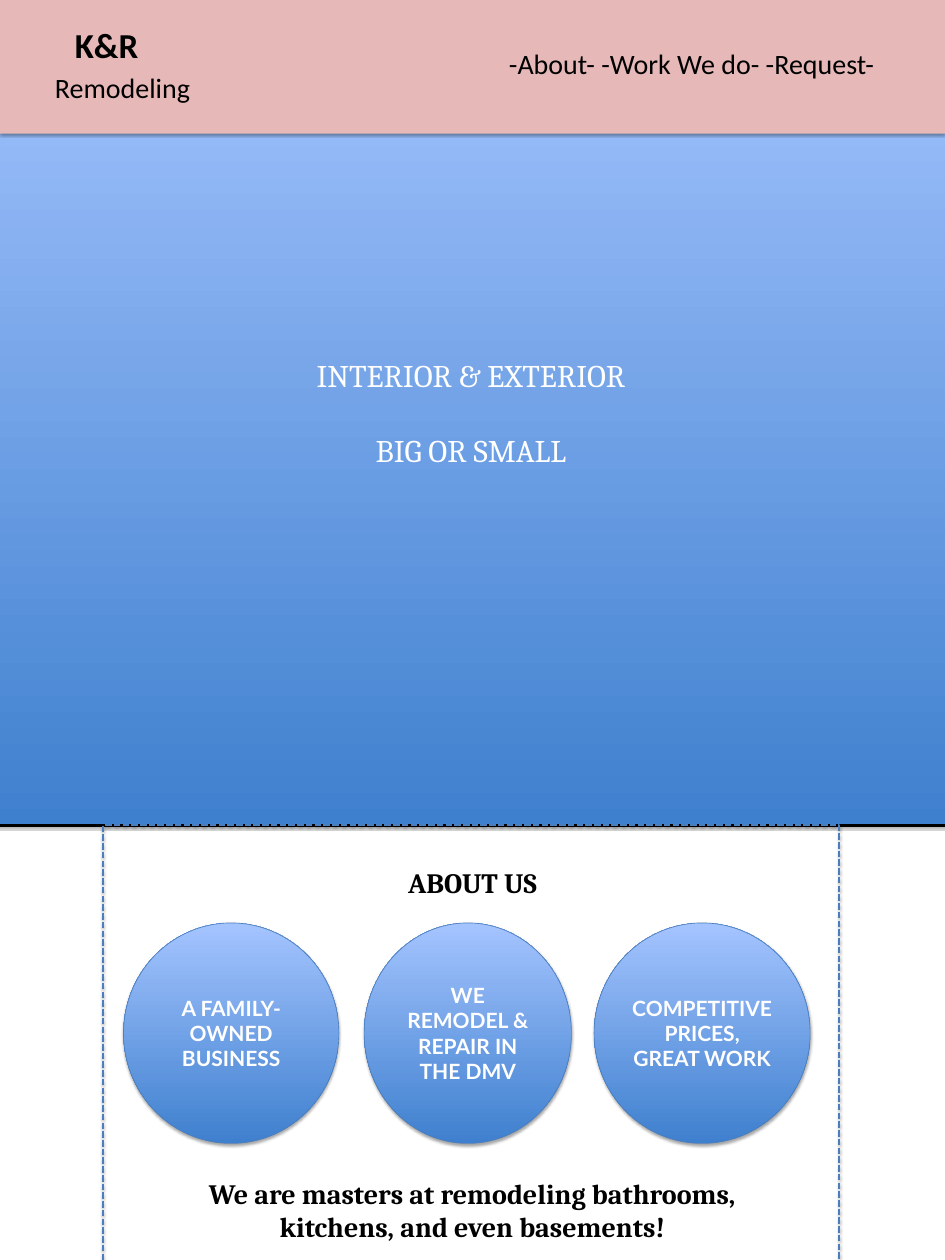
"""Build the home page slide of a remodeling business."""
from lxml.etree import SubElement
from pptx import Presentation
from pptx.dml.color import RGBColor
from pptx.enum.dml import MSO_LINE_DASH_STYLE as Dash
from pptx.enum.shapes import MSO_SHAPE as Preset
from pptx.enum.text import MSO_ANCHOR as Anchor, PP_ALIGN as Align
from pptx.oxml.ns import qn
from pptx.util import Inches, Pt

BLACK = RGBColor(0x00, 0x00, 0x00)
WHITE = RGBColor(0xFF, 0xFF, 0xFF)
PINK = RGBColor(0xE6, 0xB9, 0xB8)
DEEP_BLUE = RGBColor(0x3F, 0x80, 0xCE)
PALE_BLUE = RGBColor(0xA4, 0xC4, 0xFF)
OUTLINE_BLUE = RGBColor(0x4B, 0x7E, 0xBC)

WIDTH, HEIGHT = 15, 20
HERO_BOTTOM = 13.1
HERO_LINES = ["INTERIOR & EXTERIOR", "BIG OR SMALL"]
CAPTIONS = [
    ((0.5, 0.32, 2.38, 0.78), ["K&R"], "Calibri", 40, True, Align.CENTER),
    ((0.5, 1.07, 2.89, 0.64), ["Remodeling"], "Calibri", 32, False, Align.CENTER),
    ((7.98, 0.69, 6.72, 0.64), ["-About- -Work We do- -Request-"],
     "Calibri", 32, False, Align.LEFT),
    ((0, 13.69, WIDTH, 0.64), ["ABOUT US"], "Cambria", 32, True, Align.CENTER),
    ((0, 18.62, WIDTH, 1.18),
     ["We are masters at remodeling bathrooms,", "kitchens, and even basements!"],
     "Cambria", 32, True, Align.CENTER),
]
CIRCLE_TOP, CIRCLE_HEIGHT = 14.65, 3.5
CIRCLES = [
    (1.96, 3.42, ["A FAMILY-OWNED BUSINESS"]),
    (5.78, 3.29, ["WE REMODEL & REPAIR IN", "THE DMV"]),
    (9.43, 3.43, ["COMPETITIVE PRICES, GREAT WORK"]),
]


def write(shape, lines, font, size, color, bold=False, align=Align.CENTER, gap=0):
    frame = shape.text_frame
    frame.word_wrap = True
    for index, line in enumerate(lines):
        paragraph = frame.add_paragraph() if index else frame.paragraphs[0]
        paragraph.alignment = align
        if index and gap:
            paragraph.space_before = Pt(gap)
        run = paragraph.add_run()
        run.text = line
        run.font.name = font
        run.font.size = Pt(size)
        run.font.bold = bold
        run.font.color.rgb = color


def add_shadow(shape):
    shape.shadow.inherit = False
    effects = shape._element.spPr.find(qn("a:effectLst"))
    shadow = SubElement(effects, qn("a:outerShdw"), blurRad=str(Pt(3.1)),
                        dist=str(Pt(1.8)), dir="5400000", rotWithShape="0")
    color = SubElement(shadow, qn("a:srgbClr"), val=str(BLACK))
    SubElement(color, qn("a:alpha"), val="35000")


def add_panel(slide, preset, box, line_color=None, line_width=0):
    shape = slide.shapes.add_shape(preset, *map(Inches, box))
    if line_color is None:
        shape.line.fill.background()
    else:
        shape.line.color.rgb = line_color
        shape.line.width = Pt(line_width)
    add_shadow(shape)
    return shape


def fill_gradient(shape):
    shape.fill.gradient()
    shape.fill.gradient_angle = 90
    for stop, color in zip(shape.fill.gradient_stops, (DEEP_BLUE, PALE_BLUE)):
        stop.color.rgb = color


def main():
    presentation = Presentation()
    presentation.slide_width = Inches(WIDTH)
    presentation.slide_height = Inches(HEIGHT)
    slide = presentation.slides.add_slide(presentation.slide_layouts[6])

    hero = add_panel(slide, Preset.RECTANGLE, (-0.36, 0, 15.67, HERO_BOTTOM), BLACK, 3)
    fill_gradient(hero)
    hero.text_frame.vertical_anchor = Anchor.MIDDLE
    write(hero, HERO_LINES, "Cambria", 36, WHITE, gap=43)

    header = add_panel(slide, Preset.RECTANGLE, (0, -0.02, WIDTH, 2.14))
    header.fill.solid()
    header.fill.fore_color.rgb = PINK

    about = add_panel(slide, Preset.RECTANGLE, (1.64, HERO_BOTTOM, 11.68, 7.16),
                      OUTLINE_BLUE, 2.5)
    about.fill.background()
    about.line.dash_style = Dash.SQUARE_DOT

    for left, width, lines in CIRCLES:
        circle = add_panel(slide, Preset.OVAL, (left, CIRCLE_TOP, width, CIRCLE_HEIGHT),
                           OUTLINE_BLUE, 0.75)
        fill_gradient(circle)
        circle.text_frame.vertical_anchor = Anchor.MIDDLE
        write(circle, lines, "Lato", 24, WHITE, bold=True)

    for box, lines, font, size, bold, align in CAPTIONS:
        caption = slide.shapes.add_textbox(*map(Inches, box))
        write(caption, lines, font, size, BLACK, bold, align)

    presentation.save("out.pptx")


if __name__ == "__main__":
    main()
